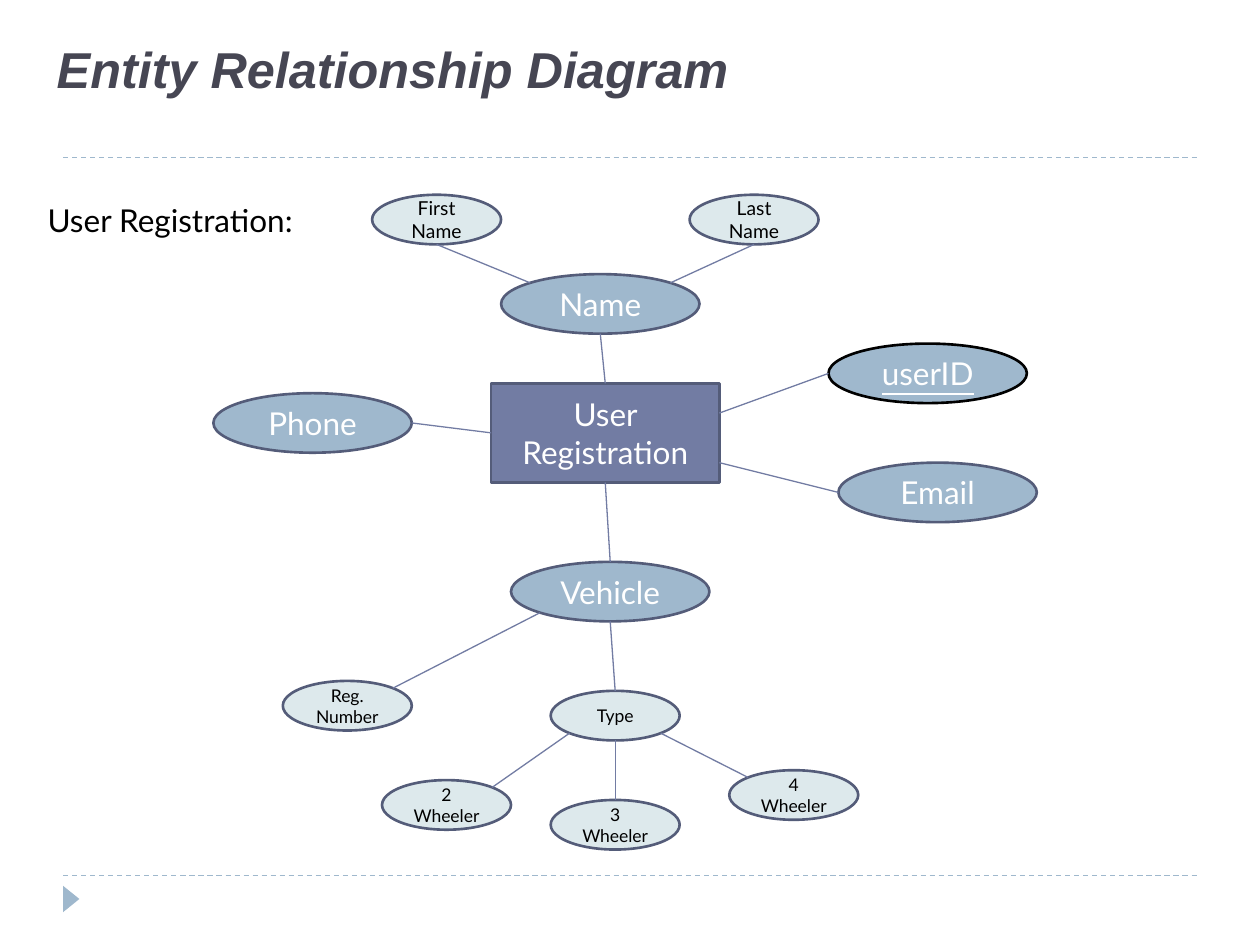
from dataclasses import dataclass, replace
from typing import NamedTuple

from lxml.etree import SubElement
from pptx import Presentation
from pptx.dml.color import RGBColor
from pptx.enum.dml import MSO_LINE
from pptx.enum.shapes import MSO_CONNECTOR, MSO_SHAPE
from pptx.enum.text import MSO_ANCHOR, MSO_AUTO_SIZE, PP_ALIGN
from pptx.oxml.ns import qn
from pptx.util import Inches, Pt


@dataclass(frozen=True)
class Theme:
    """Colours, fonts and type sizes of the slide."""
    heading: str = "464653"
    black: str = "000000"
    white: str = "FFFFFF"
    entity: str = "727CA3"
    attribute: str = "9FB8CD"
    detail: str = "DDE9EC"
    outline: str = "545C79"
    title_font: str = "Arial"
    body_font: str = "Lato"
    title_size: float = 28.8
    body_size: float = 18
    part_size: float = 11
    detail_size: float = 10


@dataclass(frozen=True)
class Look:
    """Outline, grid size and colours shared by one kind of node."""
    outline: MSO_SHAPE
    columns: int
    rows: int
    fill: str
    ink: str
    size: float
    border: str
    underline: bool = False


class Node(NamedTuple):
    """A labelled node at a grid column and row."""
    label: str
    column: int
    row: int
    look: Look


class Link(NamedTuple):
    """A line between two nodes, each end a share of its node's size."""
    start: str
    start_at: tuple[float, float]
    end: str
    end_at: tuple[float, float]


THEME = Theme()
CELL = 2 / 25.4
ORIGIN_X, ORIGIN_Y = 0.04, 0.05
WIDTH, HEIGHT = 10, 7.5
MARGIN = 0.05 * WIDTH

ENTITY = Look(MSO_SHAPE.RECTANGLE, 23, 10, THEME.entity, THEME.white, THEME.body_size, THEME.outline)
ATTRIBUTE = replace(ENTITY, outline=MSO_SHAPE.OVAL, columns=20, rows=6, fill=THEME.attribute)
KEY = replace(ATTRIBUTE, border=THEME.black, underline=True)
DETAIL = replace(ATTRIBUTE, columns=13, rows=5, fill=THEME.detail, ink=THEME.black, size=THEME.detail_size)
NAME_PART = replace(DETAIL, size=THEME.part_size)

NODES = [
    Node("User Registration", 49, 38, ENTITY),
    Node("Name", 50, 27, ATTRIBUTE),
    Node("First Name", 37, 19, NAME_PART),
    Node("Last Name", 69, 19, NAME_PART),
    Node("Phone", 21, 39, ATTRIBUTE),
    Node("Vehicle", 51, 56, ATTRIBUTE),
    Node("Reg. Number", 28, 68, DETAIL),
    Node("Type", 55, 69, DETAIL),
    Node("2 Wheeler", 38, 78, DETAIL),
    Node("3 Wheeler", 55, 80, DETAIL),
    Node("4 Wheeler", 73, 77, DETAIL),
    Node("Email", 84, 46, ATTRIBUTE),
    Node("userID", 83, 34, KEY),
]

NEAR, FAR = 0.5 - 0.125 ** 0.5, 0.5 + 0.125 ** 0.5
TOP, BOTTOM, LEFT, RIGHT = (0.5, 0), (0.5, 1), (0, 0.5), (1, 0.5)
TOP_LEFT, TOP_RIGHT = (NEAR, NEAR), (FAR, NEAR)
BOTTOM_LEFT, BOTTOM_RIGHT = (NEAR, FAR), (FAR, FAR)

LINKS = [
    Link("Phone", RIGHT, "User Registration", LEFT),
    Link("Name", BOTTOM, "User Registration", TOP),
    Link("First Name", BOTTOM, "Name", TOP_LEFT),
    Link("Last Name", BOTTOM, "Name", TOP_RIGHT),
    Link("Vehicle", TOP, "User Registration", BOTTOM),
    Link("Reg. Number", TOP_RIGHT, "Vehicle", BOTTOM_LEFT),
    Link("Type", TOP, "Vehicle", BOTTOM),
    Link("2 Wheeler", TOP_RIGHT, "Type", BOTTOM_LEFT),
    Link("3 Wheeler", TOP, "Type", BOTTOM),
    Link("4 Wheeler", TOP_LEFT, "Type", BOTTOM_RIGHT),
    Link("Email", LEFT, "User Registration", (1, 0.8)),
    Link("userID", LEFT, "User Registration", (1, 0.3)),
]


def write(frame, text: str, *, size: float, color: str, font: str = THEME.body_font,
          align=PP_ALIGN.LEFT, anchor=MSO_ANCHOR.TOP, bold: bool = False,
          italic: bool = False, underline: bool = False) -> None:
    """Put formatted text into a text frame."""
    frame.word_wrap = True
    frame.auto_size = MSO_AUTO_SIZE.NONE
    frame.vertical_anchor = anchor
    paragraph = frame.paragraphs[0]
    paragraph.alignment = align
    run = paragraph.add_run()
    run.text = text
    run.font.name, run.font.size = font, Pt(size)
    run.font.bold, run.font.italic, run.font.underline = bold, italic, underline
    run.font.color.rgb = RGBColor.from_string(color)


def draw_line(slide, start: tuple, end: tuple, color: str, dash=None) -> None:
    """Draw a thin straight line between two points in inches."""
    line = slide.shapes.add_connector(MSO_CONNECTOR.STRAIGHT, *map(Inches, start + end))
    line.line.color.rgb = RGBColor.from_string(color)
    line.line.width = Pt(0.75)
    if dash:
        line.line.dash_style = dash
    SubElement(line._element.spPr, qn("a:effectLst"))


def point_on(node: Node, share: tuple[float, float]) -> tuple[float, float]:
    """Return the point in inches at a share of a node's size."""
    return (ORIGIN_X + (node.column + share[0] * node.look.columns) * CELL,
            ORIGIN_Y + (node.row + share[1] * node.look.rows) * CELL)


def draw_node(slide, node: Node) -> None:
    """Draw one node with its centred label."""
    look = node.look
    bounds = point_on(node, (0, 0)) + (look.columns * CELL, look.rows * CELL)
    shape = slide.shapes.add_shape(look.outline, *map(Inches, bounds))
    shape.shadow.inherit = False
    shape.fill.solid()
    shape.fill.fore_color.rgb = RGBColor.from_string(look.fill)
    shape.line.color.rgb = RGBColor.from_string(look.border)
    shape.line.width = Pt(1.5)
    write(shape.text_frame, node.label, size=look.size, color=look.ink,
          align=PP_ALIGN.CENTER, anchor=MSO_ANCHOR.MIDDLE, underline=look.underline)


def draw_frame(slide) -> None:
    """Draw the dashed rules and the corner marker."""
    for y in (6.95, 1.25):
        draw_line(slide, (MARGIN, y), (WIDTH - MARGIN, y), THEME.attribute, MSO_LINE.DASH)
    marker = slide.shapes.add_shape(MSO_SHAPE.ISOSCELES_TRIANGLE, *map(Inches, (0.46, 7.07, 0.21, 0.13)))
    marker.rotation = 90
    marker.shadow.inherit = False
    marker.fill.solid()
    marker.fill.fore_color.rgb = RGBColor.from_string(THEME.attribute)
    marker.line.fill.background()


def draw_headings(slide) -> None:
    """Fill the title and add the diagram's heading."""
    title = slide.shapes.title
    title.left, title.top, title.width, title.height = map(Inches, (0.35, 0.21, 9, 1.08))
    title.text_frame.margin_bottom = Inches(0.51)
    write(title.text_frame, "Entity Relationship Diagram", size=THEME.title_size, color=THEME.heading,
          font=THEME.title_font, anchor=MSO_ANCHOR.BOTTOM, bold=True, italic=True)
    heading = slide.shapes.add_textbox(*map(Inches, (0.28, 1.55, 2.36, 0.4)))
    write(heading.text_frame, "User Registration:", size=THEME.body_size, color=THEME.black)


def main() -> None:
    """Build and save the slide."""
    deck = Presentation()
    deck.slide_width, deck.slide_height = Inches(WIDTH), Inches(HEIGHT)
    slide = deck.slides.add_slide(deck.slide_layouts[5])
    draw_frame(slide)
    draw_headings(slide)
    for node in NODES:
        draw_node(slide, node)
    by_label = {node.label: node for node in NODES}
    for link in LINKS:
        draw_line(slide, point_on(by_label[link.start], link.start_at),
                  point_on(by_label[link.end], link.end_at), THEME.entity)
    deck.save("out.pptx")


main()
